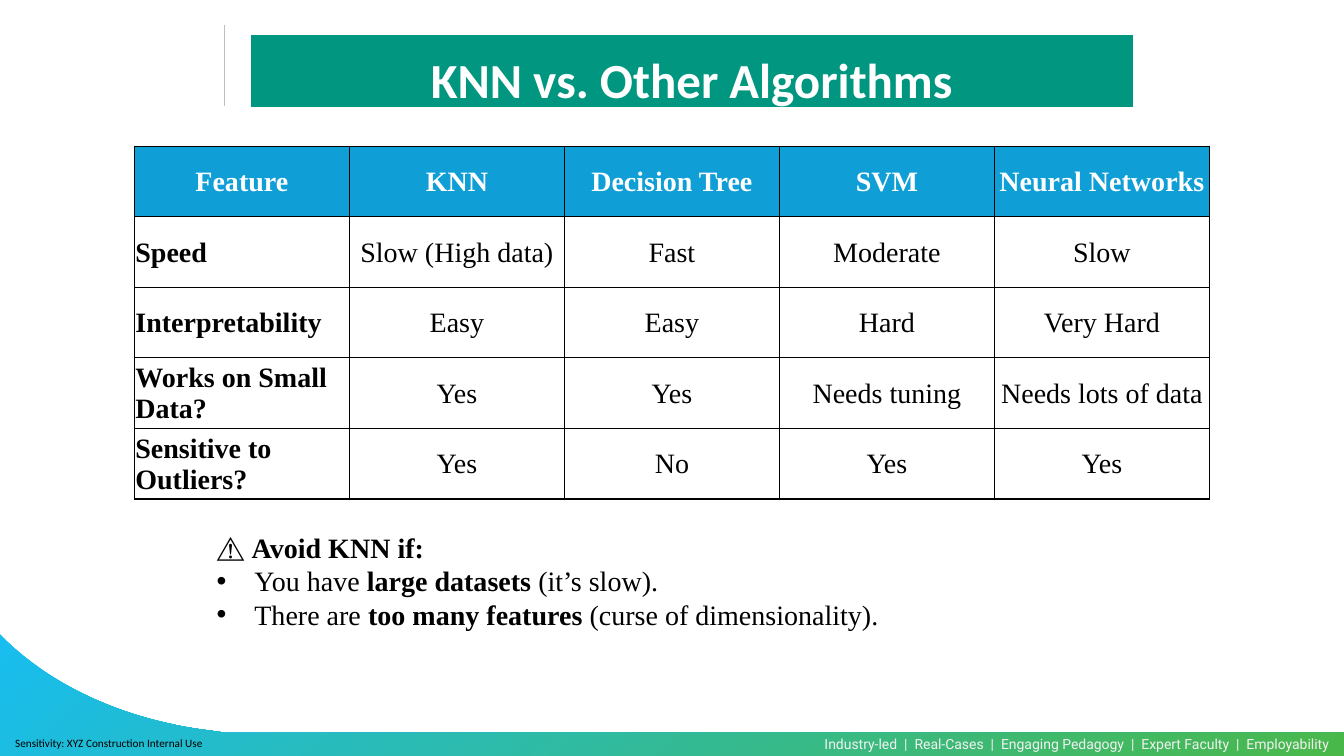
import lxml.etree
import pptx
import pptx.dml.color
import pptx.enum.shapes
import pptx.enum.text
import pptx.oxml
import pptx.oxml.ns
import pptx.util

Pt = pptx.util.Pt
ALIGN = pptx.enum.text.PP_ALIGN
MIDDLE = pptx.enum.text.MSO_ANCHOR.MIDDLE
SERIF = "Times New Roman"

# Content
TITLE = "KNN vs. Other Algorithms"
COMPARISON = [
    ("Feature", "KNN", "Decision Tree", "SVM", "Neural Networks"),
    ("Speed", "Slow (High data)", "Fast", "Moderate", "Slow"),
    ("Interpretability", "Easy", "Easy", "Hard", "Very Hard"),
    ("Works on Small Data?", "Yes", "Yes", "Needs tuning", "Needs lots of data"),
    ("Sensitive to Outliers?", "Yes", "No", "Yes", "Yes"),
]
# Each advice line is a list of (text, bold); all but the first are bulleted
ADVICE = [
    [("⚠ ", False), ("Avoid KNN if:", True)],
    [("You have ", False), ("large datasets", True), (" (it’s slow).", False)],
    [("There are ", False), ("too many features", True),
     (" (curse of dimensionality).", False)],
]
TAGLINE = "Industry-led  |  Real-Cases  |  Engaging Pedagogy  |  Expert Faculty  |  Employability"
SENSITIVITY = "Sensitivity: XYZ Construction Internal Use"

# Layout in points
WIDTH, HEIGHT = 960, 540
BAND = (178.6, 24.5, 631.4, 52.5)
TITLE_DROP = 8
TABLE = (96, 104.4, 768, 252)
ADVICE_BOX = (147.6, 375.1, 605.5, 80)
TAGLINE_BOX = (560.2, 522, 417.6, 20)
SENSITIVITY_BOX = (0, 522, 156, 18)
WAVE_CURVE = [(5, 458), (38, 490), (86, 512), (140, 520.5)]
WAVE_TOP, WAVE_BOTTOM = 523.5, 542
BULLET_INDENT = 27


def color(value):
    return pptx.dml.color.RGBColor.from_string(value)


def style(font, size, name, hex_color, bold=None):
    font.size, font.name, font.bold = Pt(size), name, bold
    font.color.rgb = color(hex_color)


def set_margins(target, left, top, right, bottom):
    target.margin_left, target.margin_top = Pt(left), Pt(top)
    target.margin_right, target.margin_bottom = Pt(right), Pt(bottom)


def add_text_box(shapes, box):
    frame = shapes.add_textbox(*map(Pt, box)).text_frame
    frame.word_wrap = True
    return frame


def curve_points(start, control_1, control_2, end, steps=24):
    for step in range(steps + 1):
        t = step / steps
        weights = ((1 - t) ** 3, 3 * t * (1 - t) ** 2, 3 * t * t * (1 - t), t ** 3)
        corners = (start, control_1, control_2, end)
        yield tuple(sum(w * corner[axis] for w, corner in zip(weights, corners))
                    for axis in (0, 1))


def add_divider(shapes):
    line = shapes.add_connector(pptx.enum.shapes.MSO_CONNECTOR.STRAIGHT,
                                Pt(160.5), Pt(18), Pt(160.5), Pt(75.6))
    line.line.color.rgb = color("BFBFBF")
    line.line.width = Pt(0.5)
    lxml.etree.SubElement(line._element.spPr, pptx.oxml.ns.qn("a:effectLst"))


def add_wave(shapes):
    outline = [*curve_points(*WAVE_CURVE), (162, WAVE_TOP), (WIDTH, WAVE_TOP),
               (WIDTH, WAVE_BOTTOM), (0, WAVE_BOTTOM)]
    builder = shapes.build_freeform(Pt(0), Pt(453))
    builder.add_line_segments([(Pt(x), Pt(y)) for x, y in outline], close=True)
    wave = builder.convert_to_shape()
    wave.shadow.inherit = False
    wave.line.fill.background()
    wave.fill.gradient()
    wave.fill.gradient_angle = 310
    for stop, position, shade in zip(wave.fill.gradient_stops, (0, 1), ("18BDF0", "4AB849")):
        stop.position = position
        stop.color.rgb = color(shade)


def add_footers(shapes):
    tagline = add_text_box(shapes, TAGLINE_BOX).paragraphs[0]
    tagline.text = TAGLINE
    tagline.alignment = ALIGN.CENTER
    style(tagline.font, 10, "Roboto", "F2F2F2")

    frame = add_text_box(shapes, SENSITIVITY_BOX)
    frame.vertical_anchor = MIDDLE
    set_margins(frame, 10.8, 0, 0, 0)
    frame.text = SENSITIVITY
    style(frame.paragraphs[0].font, 8, "Calibri", "000000")


def add_title(shapes):
    band = shapes.add_shape(pptx.enum.shapes.MSO_SHAPE.RECTANGLE, *map(Pt, BAND))
    band.shadow.inherit = False
    band.fill.solid()
    band.fill.fore_color.rgb = color("009680")
    band.line.color.rgb = color("FFFFFF")
    band.line.width = Pt(1)

    title = shapes.title
    left, top, width, height = BAND
    title.left, title.top = Pt(left), Pt(top + TITLE_DROP)
    title.width, title.height = Pt(width), Pt(height)
    band._element.addnext(title._element)  # bring the title in front of its band
    frame = title.text_frame
    frame.text = TITLE
    frame.word_wrap = True
    frame.auto_size = pptx.enum.text.MSO_AUTO_SIZE.NONE
    frame.vertical_anchor = MIDDLE
    set_margins(frame, 3.6, 3.6, 3.6, 3.6)
    paragraph = frame.paragraphs[0]
    paragraph.alignment = ALIGN.CENTER
    paragraph.line_spacing = 0.9
    style(paragraph.font, 35, "Calibri", "FFFFFF", True)


def add_borders(cell):
    properties = cell._tc.get_or_add_tcPr()
    for side in ("lnL", "lnR", "lnT", "lnB"):
        properties.append(pptx.oxml.parse_xml(
            f'<a:{side} {pptx.oxml.ns.nsdecls("a")} w="{Pt(1)}"><a:solidFill>'
            f'<a:srgbClr val="000000"/></a:solidFill></a:{side}>'))


def add_comparison(shapes):
    row_count, column_count = len(COMPARISON), len(COMPARISON[0])
    table = shapes.add_table(row_count, column_count, *map(Pt, TABLE)).table
    table.first_row = table.horz_banding = False
    for column in table.columns:
        column.width = Pt(TABLE[2] / column_count)
    for row in table.rows:
        row.height = Pt(TABLE[3] / row_count)
    for row, labels in enumerate(COMPARISON):
        for column, label in enumerate(labels):
            is_header, is_feature = row == 0, column == 0
            cell = table.cell(row, column)
            cell.text = label
            cell.vertical_anchor = MIDDLE
            set_margins(cell, 0.7, 0.7, 0.7, 0)
            add_borders(cell)
            if is_header:
                cell.fill.solid()
                cell.fill.fore_color.rgb = color("0F9ED5")
            else:
                cell.fill.background()
            paragraph = cell.text_frame.paragraphs[0]
            paragraph.alignment = (ALIGN.LEFT if is_feature and not is_header
                                   else ALIGN.CENTER)
            style(paragraph.font, 20, SERIF, "FFFFFF" if is_header else "000000",
                  is_header or is_feature)


def add_bullet(paragraph):
    properties = paragraph._p.get_or_add_pPr()
    properties.set("marL", str(Pt(BULLET_INDENT)))
    properties.set("indent", str(-Pt(BULLET_INDENT)))
    for tag, attribute, value in (("a:buFont", "typeface", "Arial"), ("a:buChar", "char", "•")):
        lxml.etree.SubElement(properties, pptx.oxml.ns.qn(tag)).set(attribute, value)


def add_advice(shapes):
    frame = add_text_box(shapes, ADVICE_BOX)
    for index, pieces in enumerate(ADVICE):
        paragraph = frame.add_paragraph() if index else frame.paragraphs[0]
        if index:
            add_bullet(paragraph)
        for text, bold in pieces:
            run = paragraph.add_run()
            run.text = text
            style(run.font, 20, SERIF, "000000", bold)


def main():
    presentation = pptx.Presentation()
    presentation.slide_width, presentation.slide_height = Pt(WIDTH), Pt(HEIGHT)
    slide = presentation.slides.add_slide(presentation.slide_layouts[5])
    for add_part in (add_divider, add_wave, add_footers, add_title, add_comparison, add_advice):
        add_part(slide.shapes)
    presentation.save("out.pptx")


if __name__ == "__main__":
    main()
